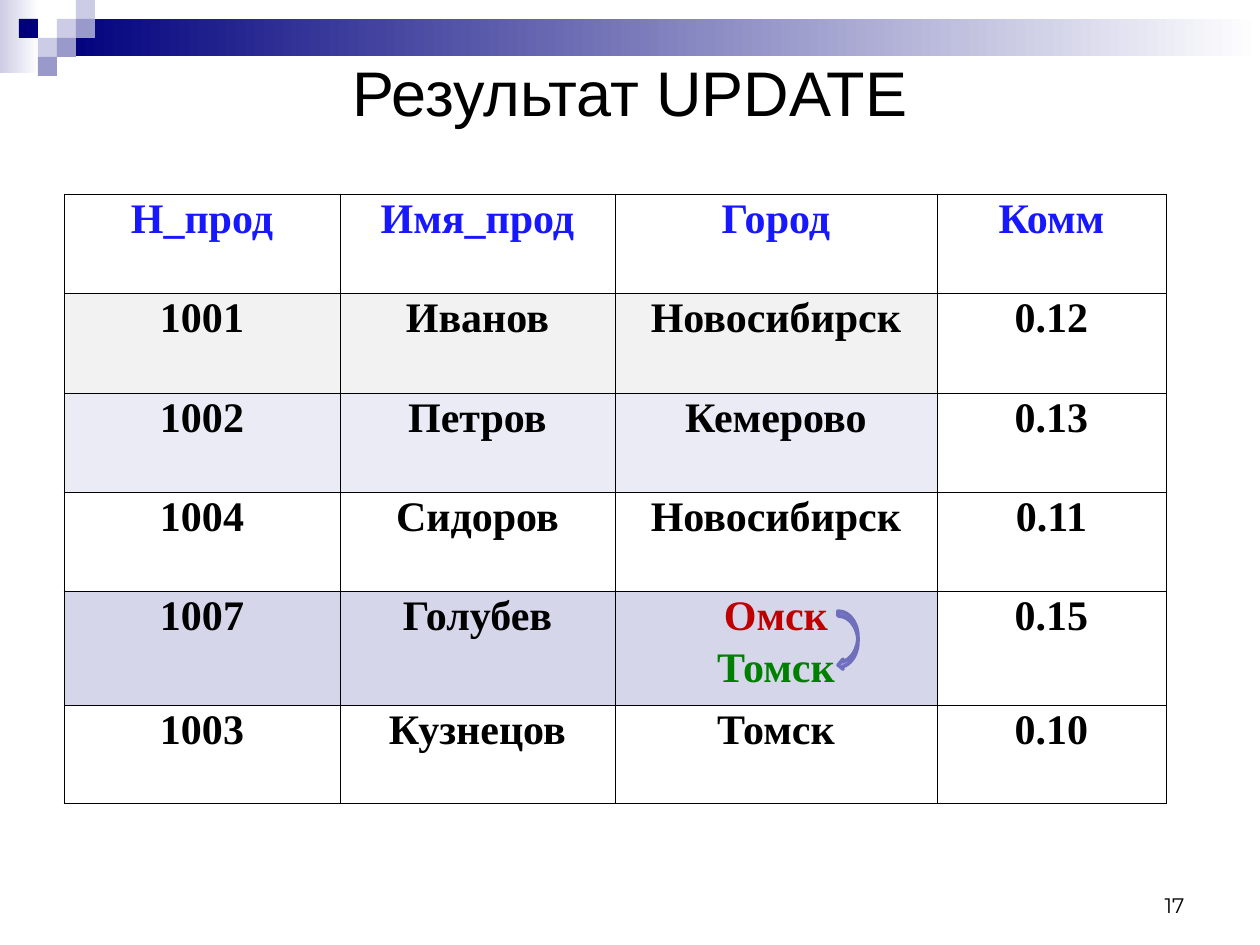
from lxml.etree import SubElement
from pptx import Presentation
from pptx.dml.color import RGBColor
from pptx.enum.shapes import MSO_SHAPE
from pptx.enum.text import MSO_ANCHOR, PP_ALIGN
from pptx.oxml.ns import qn
from pptx.util import Emu, Pt

EMU_PER_INCH, PX_PER_INCH = 914400, 126

BLACK = RGBColor(0x00, 0x00, 0x00)
WHITE = RGBColor(0xFF, 0xFF, 0xFF)
NAVY = RGBColor(0x00, 0x00, 0x7D)
LAVENDER = RGBColor(0xCC, 0xCC, 0xE6)
VIOLET = RGBColor(0x99, 0x99, 0xCC)
HEADER_BLUE = RGBColor(0x18, 0x18, 0xFF)
OLD_RED = RGBColor(0xC0, 0x00, 0x00)
NEW_GREEN = RGBColor(0x00, 0x80, 0x00)
ROW_GREY = RGBColor(0xF2, 0xF2, 0xF2)
ROW_PALE = RGBColor(0xEB, 0xEB, 0xF5)
ROW_LILAC = RGBColor(0xD6, 0xD6, 0xEB)
ARROW_FILL = RGBColor(0x99, 0x99, 0xFF)
ARROW_LINE = RGBColor(0x6F, 0x6F, 0xBC)


def px(n):
    return Emu(round(n * EMU_PER_INCH / PX_PER_INCH))


class SlideBuilder:
    """Holds the slide being built and its text style."""
    title_font, table_font, number_font = "Arial", "Times New Roman", "Montserrat"

    def __init__(self, slide):
        self.slide = slide

    def add_text(self, p, text, font, size, color=BLACK, bold=False, align=PP_ALIGN.CENTER):
        p.alignment = align
        r = p.add_run()
        r.text = text
        r.font.name, r.font.size, r.font.bold = font, Pt(size), bold
        r.font.color.rgb = color

    def shape(self, kind, x, y, w, h):
        sp = self.slide.shapes.add_shape(kind, px(x), px(y), px(w), px(h))
        sp.shadow.inherit = False
        sp.line.fill.background()
        return sp

    def block(self, x, y, w, h, color):
        sp = self.shape(MSO_SHAPE.RECTANGLE, x, y, w, h)
        sp.fill.solid()
        sp.fill.fore_color.rgb = color

    def fading_bar(self, x, y, w, h, color):
        """Rectangle that fades from color on the left to white."""
        sp = self.shape(MSO_SHAPE.RECTANGLE, x, y, w, h)
        sp.fill.gradient()
        sp.fill.gradient_angle = 0
        for stop, position, shade in zip(sp.fill.gradient_stops, (0, 1), (color, WHITE)):
            stop.position = position
            stop.color.rgb = shade

    def title(self, text, x, y, w, h):
        sp = self.slide.shapes.title
        sp.left, sp.top, sp.width, sp.height = px(x), px(y), px(w), px(h)
        tf = sp.text_frame
        tf.vertical_anchor = MSO_ANCHOR.MIDDLE
        self.add_text(tf.paragraphs[0], text, self.title_font, 36)

    def page_number(self, text, x, y, w, h):
        tf = self.slide.shapes.add_textbox(px(x), px(y), px(w), px(h)).text_frame
        tf.word_wrap = True
        tf.vertical_anchor = MSO_ANCHOR.BOTTOM
        self.add_text(tf.paragraphs[0], text, self.number_font, 12, align=PP_ALIGN.RIGHT)

    def borders(self, cell, width):
        tc_pr = cell._tc.get_or_add_tcPr()
        for i, side in enumerate(("lnL", "lnR", "lnT", "lnB")):
            ln = tc_pr.makeelement(qn(f"a:{side}"), {"w": str(Pt(width))})
            fill = SubElement(ln, qn("a:solidFill"))
            SubElement(fill, qn("a:srgbClr"), val=str(BLACK))
            tc_pr.insert(i, ln)

    def cell(self, cell, lines, fill):
        """Fill a cell with (text, color) lines, one paragraph each."""
        if fill is None:
            cell.fill.background()
        else:
            cell.fill.solid()
            cell.fill.fore_color.rgb = fill
        tf = cell.text_frame
        for i, (text, color) in enumerate(lines):
            p = tf.add_paragraph() if i else tf.paragraphs[0]
            p.line_spacing = 0.9
            if i:
                p.space_before = Pt(6)
            self.add_text(p, text, self.table_font, 24, color, bold=True)
        self.borders(cell, 0.45)

    def table(self, x, y, widths, heights, rows, fills):
        """Place the table; fills color every column but the last."""
        frame = self.slide.shapes.add_table(len(heights), len(widths), px(x), px(y),
                                            px(sum(widths)), px(sum(heights)))
        table = frame.table
        table.first_row = table.horz_banding = False
        for column, width in zip(table.columns, widths):
            column.width = px(width)
        for row, height in zip(table.rows, heights):
            row.height = px(height)
        last = len(widths) - 1
        for i, values in enumerate(rows):
            for j, value in enumerate(values):
                color = BLACK if i else HEADER_BLUE
                lines = [(value, color)] if isinstance(value, str) else value
                self.cell(table.cell(i, j), lines, fills.get(i) if j < last else None)

    def change_arrow(self, x, y, w, h):
        sp = self.shape(MSO_SHAPE.CURVED_LEFT_ARROW, x, y, w, h)
        sp.fill.solid()
        sp.fill.fore_color.rgb = ARROW_FILL
        sp.line.color.rgb = ARROW_LINE
        sp.line.width = Pt(2)


SQUARE = 19
SQUARES = [  # column, row, color
    (3, 1, LAVENDER), (4, 0, LAVENDER), (4, 1, VIOLET), (2, 2, LAVENDER),
    (1, 1, NAVY), (3, 2, VIOLET), (2, 3, VIOLET),
]
SELLERS = [
    ("Н_прод", "Имя_прод", "Город", "Комм"),
    ("1001", "Иванов", "Новосибирск", "0.12"),
    ("1002", "Петров", "Кемерово", "0.13"),
    ("1004", "Сидоров", "Новосибирск", "0.11"),
    ("1007", "Голубев", [("Омск", OLD_RED), ("Томск", NEW_GREEN)], "0.15"),
    ("1003", "Кузнецов", "Томск", "0.10"),
]
ROW_FILLS = {1: ROW_GREY, 2: ROW_PALE, 4: ROW_LILAC}


def main():
    prs = Presentation()
    prs.slide_width, prs.slide_height = px(1260), px(945)
    s = SlideBuilder(prs.slides.add_slide(prs.slide_layouts[5]))

    s.fading_bar(0, 0, 39, 73, LAVENDER)
    s.fading_bar(57, 19, 1203, 37, NAVY)
    for column, row, color in SQUARES:
        s.block(column * SQUARE, row * SQUARE, SQUARE, SQUARE, color)

    s.title("Результат UPDATE", 63, 45, 1134, 92)
    s.table(64, 194, (276, 275, 322, 229), (99, 100, 99, 99, 114, 99), SELLERS, ROW_FILLS)
    s.page_number("17", 903, 861, 294, 63)
    s.change_arrow(838, 611, 20, 59)

    prs.save("out.pptx")


if __name__ == "__main__":
    main()
